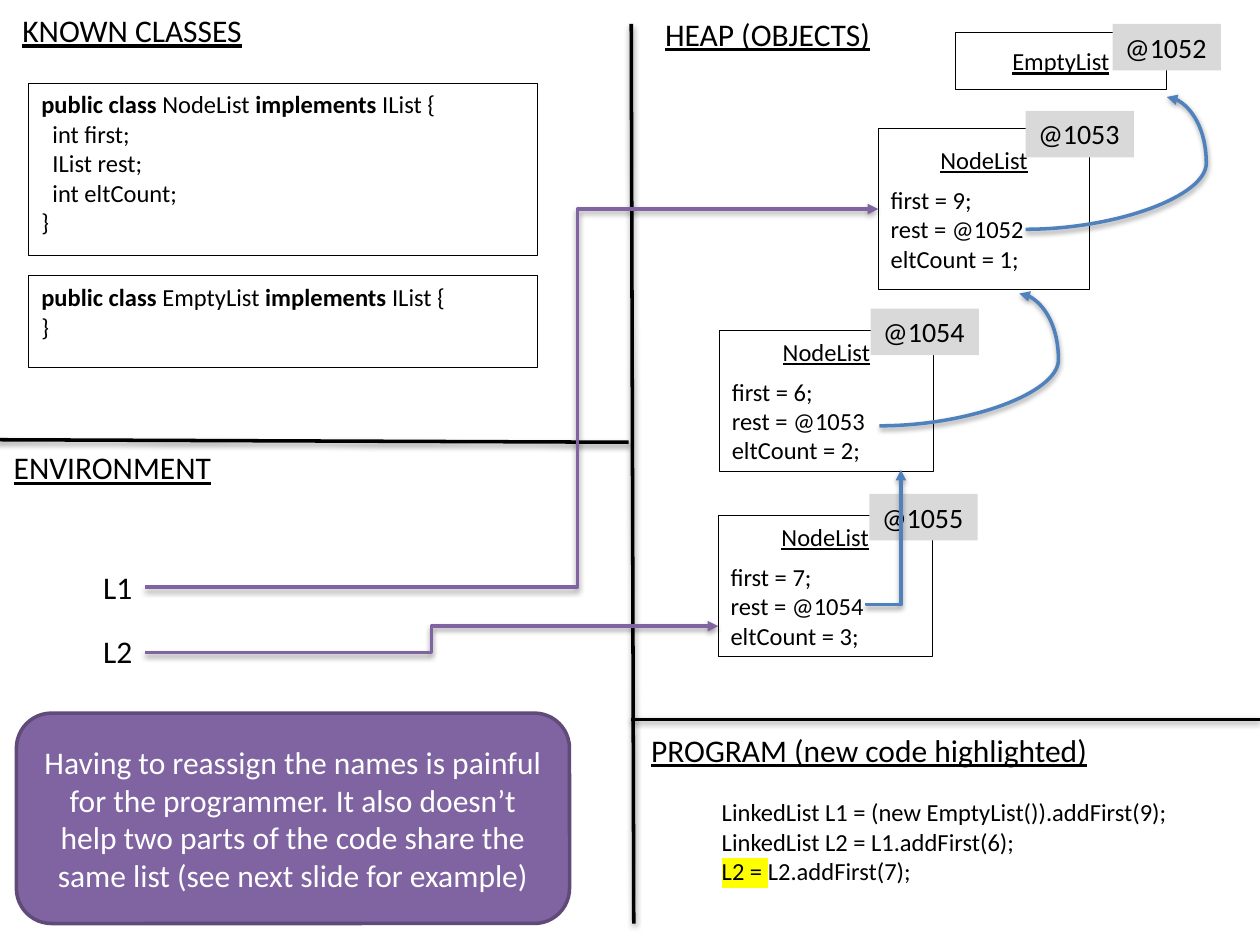
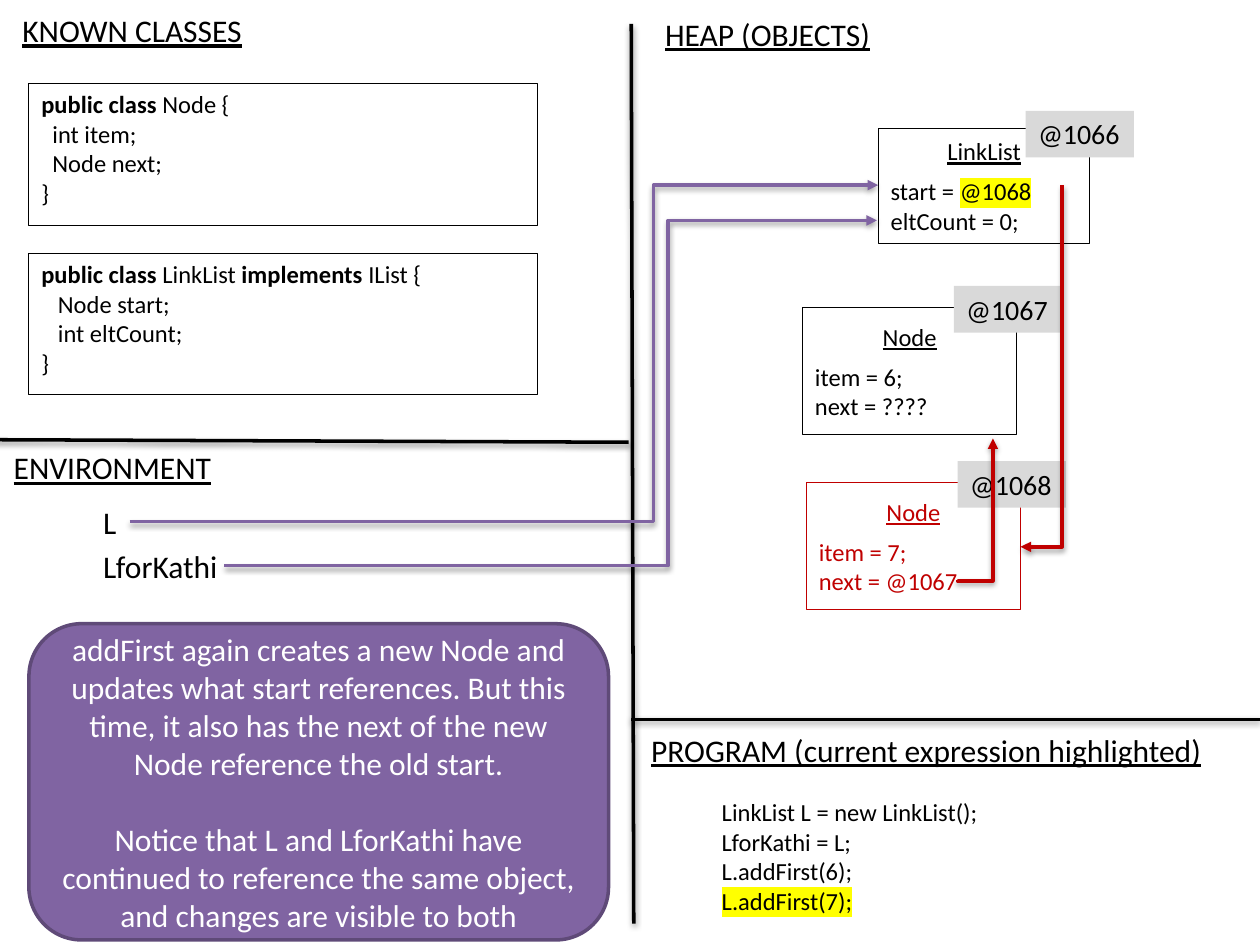
from dataclasses import dataclass

from lxml.etree import SubElement
from pptx import Presentation
from pptx.dml.color import RGBColor
from pptx.enum.shapes import MSO_CONNECTOR, MSO_SHAPE
from pptx.enum.text import MSO_ANCHOR, PP_ALIGN
from pptx.oxml.ns import qn
from pptx.util import Inches, Pt


@dataclass(frozen=True)
class Theme:
    font: str = "Calibri"
    black: str = "000000"
    white: str = "FFFFFF"
    gray: str = "D9D9D9"
    purple: str = "8064A2"
    plum: str = "5F4A78"
    blue: str = "4F81BD"
    red: str = "C00000"
    yellow: str = "FFFF00"
    heading: int = 18
    address: int = 16
    code: int = 14
    thick: float = 2
    thin: float = 0.5
    space: float = 0.044


theme = Theme()


def write(page, frame, lines, size, color=theme.black, fill=None, outline=None, weight=theme.thin,
          preset=MSO_SHAPE.RECTANGLE, align=PP_ALIGN.LEFT, anchor=MSO_ANCHOR.TOP,
          wrap=True, underline=False, titled=False, gap=0):
    place = [Inches(length) for length in frame]
    if fill or outline:
        box = page.shapes.add_shape(preset, *place)
        box.shadow.inherit = False
        if fill:
            box.fill.solid()
            box.fill.fore_color.rgb = RGBColor.from_string(fill)
        else:
            box.fill.background()
        if outline:
            box.line.color.rgb = RGBColor.from_string(outline)
            box.line.width = Pt(weight)
        else:
            box.line.fill.background()
    else:
        box = page.shapes.add_textbox(*place)
    text = box.text_frame
    text.word_wrap = wrap
    text.vertical_anchor = anchor
    for index, line in enumerate(lines):
        para = text.paragraphs[0] if index == 0 else text.add_paragraph()
        is_title = titled and index == 0
        para.alignment = PP_ALIGN.CENTER if is_title else align
        if is_title:
            para.space_after = Pt(6)
        if gap and index:
            para.space_before = Pt(gap)
        para.font.name = theme.font
        para.font.size = Pt(size)
        para.font.color.rgb = RGBColor.from_string(color)
        para.font.underline = underline or is_title
        spans = [(line, "")] if isinstance(line, str) else line
        for words, style in spans:
            if spans[0][0] is words and words.startswith("  "):
                depth = len(words) - len(words.lstrip())
                para._p.get_or_add_pPr().set("marL", str(Inches(depth * theme.space)))
                words = words.lstrip()
            span = para.add_run()
            span.text = words
            if style == "bold":
                span.font.bold = True
            if style == "marked":
                highlight = SubElement(span._r.get_or_add_rPr(), qn("a:highlight"))
                SubElement(highlight, qn("a:srgbClr")).set("val", theme.yellow)


def link(page, kind, start, end, color, bend=None, turned=False, preset=None, arrow=True):
    ends = [start, end]
    if turned:
        middle_x, middle_y = (start[0] + end[0]) / 2, (start[1] + end[1]) / 2
        ends = [(middle_x + y - middle_y, middle_y - x + middle_x) for x, y in ends]
    line = page.shapes.add_connector(kind, *[Inches(length) for point in ends for length in point])
    line.line.color.rgb = RGBColor.from_string(color)
    line.line.width = Pt(theme.thick)
    properties = line._element.spPr
    if turned:
        properties.find(qn("a:xfrm")).set("rot", "5400000")
    geometry = properties.find(qn("a:prstGeom"))
    if preset:
        geometry.set("prst", preset)
    if bend is not None:
        guides = geometry.find(qn("a:avLst"))
        if guides is None:
            guides = SubElement(geometry, qn("a:avLst"))
        guide = SubElement(guides, qn("a:gd"))
        guide.set("name", "adj1")
        guide.set("fmla", f"val {round(bend * 100000)}")
    if arrow:
        SubElement(line.line._get_or_add_ln(), qn("a:tailEnd")).set("type", "triangle")


elbow, curve = MSO_CONNECTOR.ELBOW, MSO_CONNECTOR.CURVE
purple, blue, red = theme.purple, theme.blue, theme.red

slides = [
    dict(
        program=("PROGRAM (new code highlighted)", 3.7),
        classes=[
            (0.66, 1.37, [
                [("public class ", "bold"), ("NodeList ", ""), ("implements ", "bold"), ("IList {", "")],
                "  int first;", "  IList rest;", "  int eltCount;", "}"]),
            (2.19, 0.73, [
                [("public class ", "bold"), ("EmptyList ", ""), ("implements ", "bold"), ("IList {", "")],
                "}"]),
        ],
        code=["LinkedList L1 = (new EmptyList()).addFirst(9);", "LinkedList L2 = L1.addFirst(6);",
              [("L2 = ", "marked"), ("L2.addFirst(7);", "")]],
        callout=((0.13, 5.66, 4.39, 1.67), [
            "Having to reassign the names is painful for the programmer. It also doesn’t help "
            "two parts of the code share the same list (see next slide for example)"]),
        names=[("L1", 4.46, 0.44), ("L2", 4.97, 0.44)],
        objects=[
            ((7.58, 0.26, 1.68, 0.45), ["EmptyList"], "@1052", (8.83, 0.19), theme.black),
            ((6.97, 1.02, 1.68, 1.28), ["NodeList", "first = 9;", "rest = @1052", "eltCount = 1;"],
             "@1053", (8.14, 0.88), theme.black),
            ((5.71, 2.62, 1.7, 1.12), ["NodeList", "first = 6;", "rest = @1053", "eltCount = 2;"],
             "@1054", (6.91, 2.45), theme.black),
            ((5.7, 4.09, 1.7, 1.12), ["NodeList", "first = 7;", "rest = @1054", "eltCount = 3;"],
             "@1055", (6.9, 3.92), theme.black),
        ],
        links=[
            dict(kind=curve, start=(8.14, 1.82), end=(9.26, 0.77), color=blue, bend=1.28),
            dict(kind=curve, start=(6.98, 3.38), end=(8.09, 2.33), color=blue, bend=1.28),
            dict(kind=elbow, start=(1.15, 4.66), end=(6.97, 1.66), color=purple, bend=0.59),
            dict(kind=elbow, start=(1.15, 5.18), end=(5.7, 4.97), color=purple, bend=0.5),
            dict(kind=elbow, start=(6.88, 4.79), end=(7.15, 3.73), color=blue, bend=-0.01, turned=True),
        ],
    ),
    dict(
        program=("PROGRAM (current expression highlighted)", 4.62),
        classes=[
            (0.66, 1.13, [[("public class", "bold"), (" Node {", "")],
                          "  int item;", "  Node next;", "}"]),
            (2.01, 1.12, [
                [("public class ", "bold"), ("LinkList ", ""), ("implements ", "bold"), ("IList {", "")],
                "   Node start;", "   int eltCount;", "}"]),
        ],
        code=["LinkList L = new LinkList();", "LforKathi = L;", "L.addFirst(6);",
              [("L.addFirst(7);", "marked")]],
        callout=((0.23, 4.95, 4.6, 2.51), [
            "addFirst again creates a new Node and updates what start references. But this time, "
            "it also has the next of the new Node reference the old start.",
            "Notice that L and LforKathi have continued to reference the same object, "
            "and changes are visible to both"]),
        names=[("L", 3.94, 0.31), ("LforKathi", 4.29, 1.12)],
        objects=[
            ((6.97, 1.02, 1.68, 0.91),
             ["LinkList", [("start = ", ""), ("@1068", "marked")], "eltCount = 0;"],
             "@1066", (8.14, 0.88), theme.black),
            ((6.37, 2.44, 1.7, 1.01), ["Node", "item = 6;", "next = ????"],
             "@1067", (7.57, 2.27), theme.black),
            ((6.4, 3.83, 1.7, 1.01), ["Node", "item = 7;", "next = @1067"],
             "@1068", (7.6, 3.66), red),
        ],
        links=[
            dict(kind=elbow, start=(1.03, 4.14), end=(6.97, 1.47), color=purple, bend=0.7),
            dict(kind=elbow, start=(1.78, 4.49), end=(6.96, 1.75), color=purple, bend=0.68),
            dict(kind=elbow, start=(8.43, 1.47), end=(8.1, 4.34), color=red, turned=True,
                 preset="bentConnector2"),
            dict(kind=elbow, start=(7.6, 4.6), end=(7.88, 3.48), color=red, bend=-0.01, turned=True),
        ],
    ),
]

deck = Presentation()
deck.slide_width, deck.slide_height = Inches(10), Inches(7.5)

for content in slides:
    page = deck.slides.add_slide(deck.slide_layouts[6])

    program, program_width = content["program"]
    for heading, left, top, width in [
        ("KNOWN CLASSES", 0.08, 0.04, 1.97),
        ("HEAP (OBJECTS)", 5.18, 0.07, 1.84),
        ("ENVIRONMENT", 0.01, 3.51, 1.78),
        (program, 5.07, 5.75, program_width),
    ]:
        write(page, (left, top, width, 0.4), [heading], theme.heading, wrap=False, underline=True)

    for start, end in [((5.01, 0.19), (5.03, 7.33)), ((-0.04, 3.49), (4.99, 3.51)),
                       ((5.01, 5.71), (10, 5.71))]:
        link(page, MSO_CONNECTOR.STRAIGHT, start, end, theme.black, arrow=False)

    for top, height, lines in content["classes"]:
        write(page, (0.23, top, 4.04, height), lines, theme.code, outline=theme.black)

    write(page, (5.63, 6.28, 4.03, 1.01), content["code"], theme.code)

    frame, lines = content["callout"]
    write(page, frame, lines, theme.heading, theme.white, fill=purple, outline=theme.plum,
          weight=theme.thick, preset=MSO_SHAPE.ROUNDED_RECTANGLE, align=PP_ALIGN.CENTER,
          anchor=MSO_ANCHOR.MIDDLE, gap=22)

    for name, top, width in content["names"]:
        write(page, (0.72, top, width, 0.4), [name], theme.heading, wrap=False)

    for frame, lines, address, corner, color in content["objects"]:
        write(page, frame, lines, theme.code, color, outline=color,
              anchor=MSO_ANCHOR.MIDDLE, titled=True)
        write(page, (*corner, 0.86, 0.37), [address], theme.address, fill=theme.gray, wrap=False)

    for settings in content["links"]:
        link(page, **settings)

deck.save("out.pptx")
